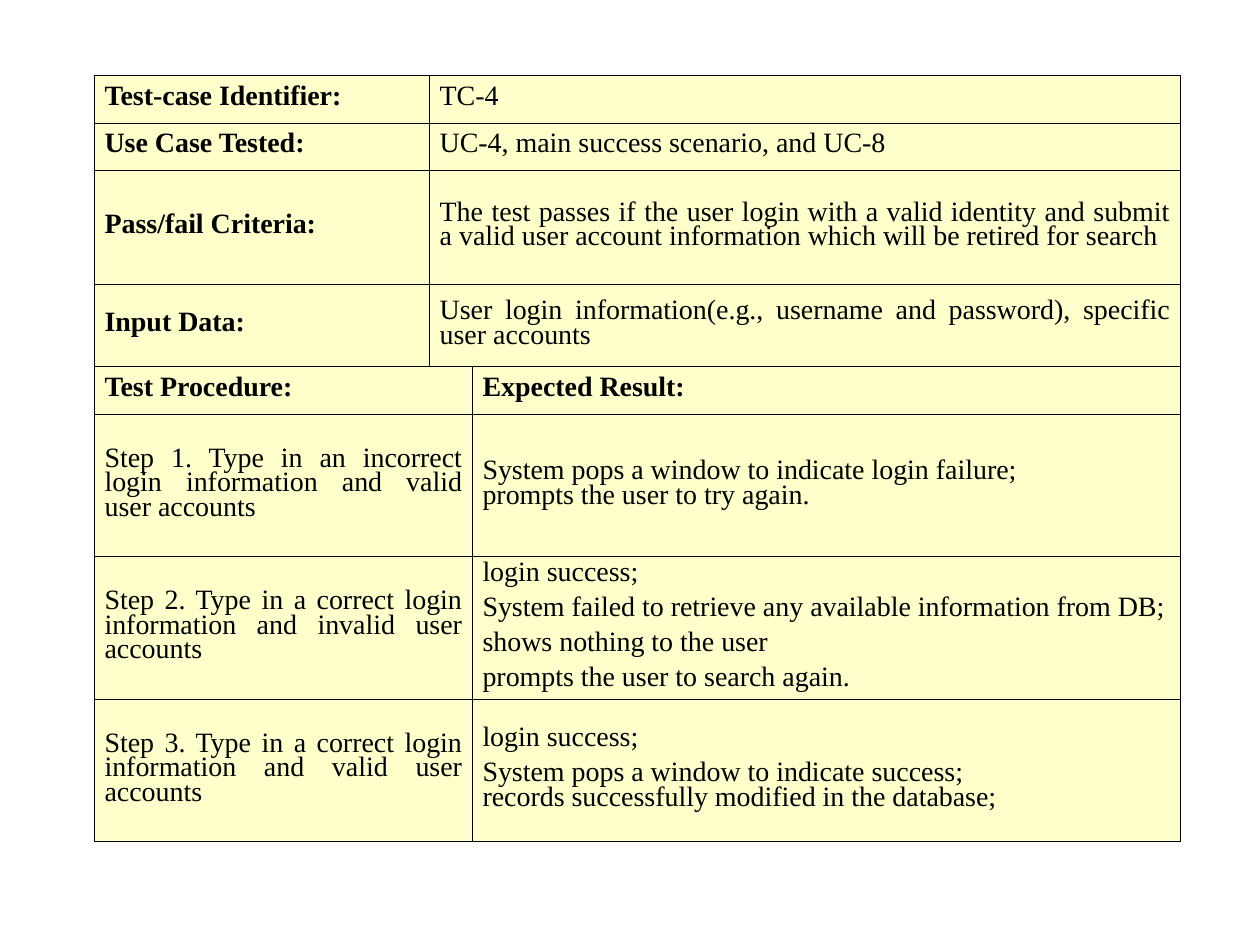
from dataclasses import dataclass

from lxml import etree
from pptx import Presentation, util as u
from pptx.dml.color import RGBColor
from pptx.enum import text
from pptx.oxml import ns

FONT = "Times New Roman"
INK = "000000"
PAPER = "FFFFCC"
COLS = [2.66, 0.34, 5.62]
LEFT = text.PP_ALIGN.LEFT
FULL = text.PP_ALIGN.JUSTIFY
CELL = {
    "margin_left": u.Inches(0.08),
    "margin_right": u.Inches(0.08),
    "margin_top": u.Inches(0.05),
    "margin_bottom": u.Inches(0.05),
    "vertical_anchor": text.MSO_ANCHOR.MIDDLE,
}


@dataclass
class Row:
    """One line of the test case; split is the column where the right cell starts."""
    high: float
    name: str
    body: list[str]
    split: int = 2
    bold: tuple[bool, bool] = (False, False)
    align: text.PP_ALIGN = LEFT


def field(high: float, name: str, body: str) -> Row:
    return Row(high, name, [body], 1, (True, False), FULL)


ROWS = [
    field(0.38, "Test-case Identifier:", "TC-4"),
    field(0.37, "Use Case Tested:", "UC-4, main success scenario, and UC-8"),
    field(0.91, "Pass/fail Criteria:",
          "The test passes if the user login with a valid identity and submit a "
          "valid user account information which will be retired for search"),
    field(0.65, "Input Data:",
          "User login information(e.g., username and password), specific user accounts"),
    Row(0.38, "Test Procedure:", ["Expected Result:"], bold=(True, True), align=FULL),
    Row(1.13, "Step 1. Type in an incorrect login information and valid user accounts",
        ["System pops a window to indicate login failure;\nprompts the user to try again."]),
    Row(1.13, "Step 2. Type in a correct login information and invalid user accounts",
        ["login success;",
         "System failed to retrieve any available information from DB;",
         "shows nothing to the user",
         "prompts the user to search again."]),
    Row(1.13, "Step 3. Type in a correct login information and valid user accounts",
        ["login success;",
         "System pops a window to indicate success;\n"
         "records successfully modified in the database;"]),
]


def color(code: str) -> RGBColor:
    return RGBColor.from_string(code)


def style(cell) -> None:
    """Give a cell its borders, fill and margins."""
    props = cell._tc.get_or_add_tcPr()
    for side in "LRTB":
        line = etree.SubElement(props, ns.qn(f"a:ln{side}"), w=str(u.Pt(0.45)))
        fill = etree.SubElement(line, ns.qn("a:solidFill"))
        etree.SubElement(fill, ns.qn("a:srgbClr"), val=INK)
    cell.fill.solid()
    cell.fill.fore_color.rgb = color(PAPER)
    for key, val in CELL.items():
        setattr(cell, key, val)


def write(cell, parts: list[str], bold: bool, align: text.PP_ALIGN) -> None:
    frame = cell.text_frame
    look = {"name": FONT, "size": u.Pt(16), "bold": bold}
    for num, part in enumerate(parts):
        para = frame.add_paragraph() if num else frame.paragraphs[0]
        para.text = part
        para.alignment = align
        para.line_spacing = u.Pt(14)
        para.space_before = u.Pt(6 if num else 0)
        for run in para.runs:
            for key, val in look.items():
                setattr(run.font, key, val)
            run.font.color.rgb = color(INK)


def draw(grid, num: int, row: Row) -> None:
    grid.rows[num].height = u.Inches(row.high)
    for col in range(len(COLS)):
        style(grid.cell(num, col))
    left, right = grid.cell(num, 0), grid.cell(num, row.split)
    if row.split == 1:
        right.merge(grid.cell(num, 2))
    else:
        left.merge(grid.cell(num, 1))
    write(left, [row.name], row.bold[0], FULL)
    write(right, row.body, row.bold[1], row.align)


def main() -> None:
    deck = Presentation()
    deck.slide_width, deck.slide_height = u.Inches(10), u.Inches(7.5)
    slide = deck.slides.add_slide(deck.slide_layouts[6])
    high = sum(row.high for row in ROWS)
    grid = slide.shapes.add_table(
        len(ROWS), len(COLS), u.Inches(0.75), u.Inches(0.6),
        u.Inches(sum(COLS)), u.Inches(high)).table
    grid.first_row = grid.horz_banding = False
    for col, wide in zip(grid.columns, COLS):
        col.width = u.Inches(wide)
    for num, row in enumerate(ROWS):
        draw(grid, num, row)
    deck.save("out.pptx")


if __name__ == "__main__":
    main()
